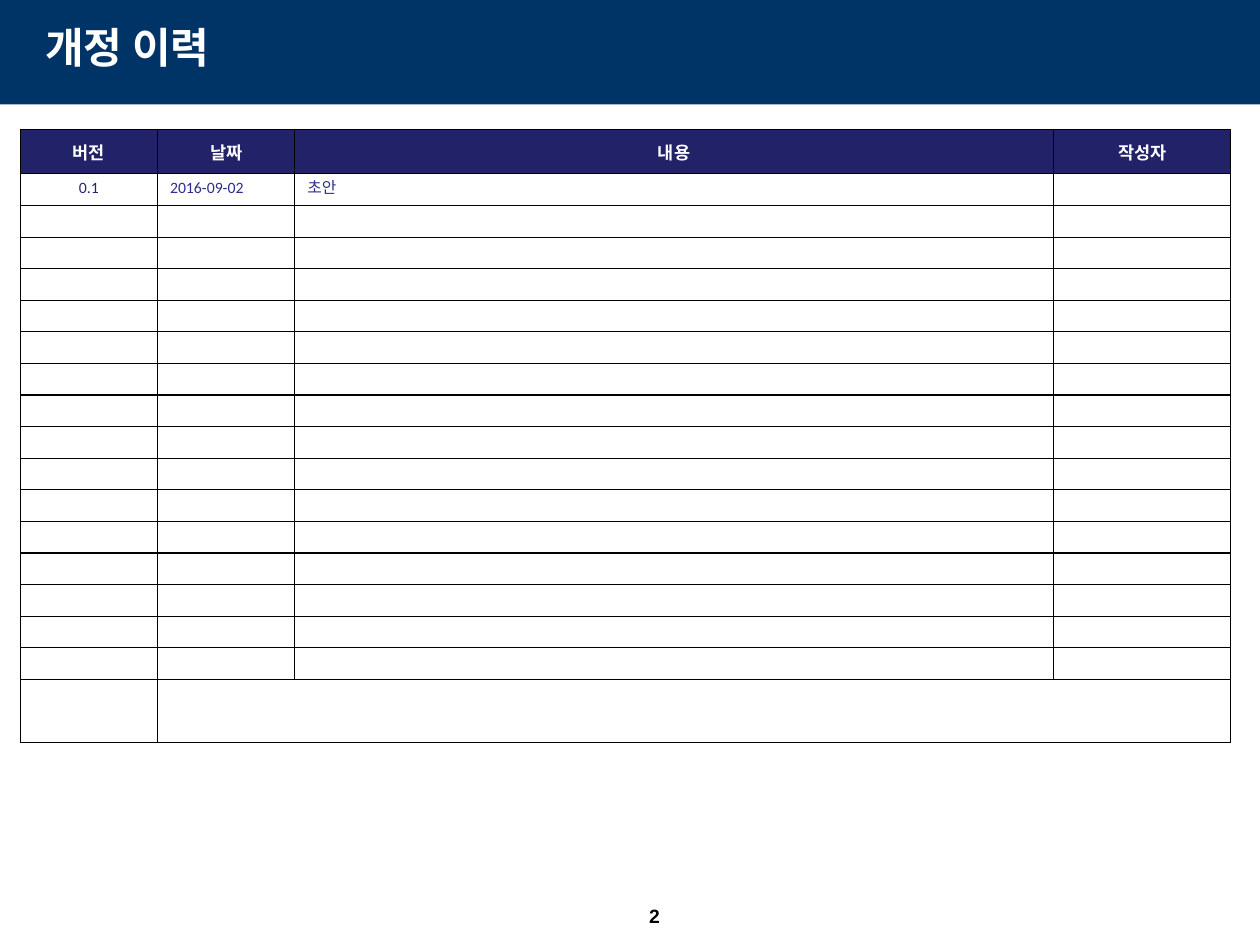
from lxml import etree
from pptx import Presentation
from pptx.dml.color import RGBColor
from pptx.enum.shapes import MSO_SHAPE
from pptx.enum.text import MSO_ANCHOR as ANCHOR, PP_ALIGN as ALIGN
from pptx.oxml.ns import qn
from pptx.util import Inches, Pt


def rgb(value):
    return RGBColor.from_string(value)


def write(tf, text, size, font, color, bold=False, align=ALIGN.LEFT):
    tf.text = text
    p = tf.paragraphs[0]
    p.alignment = align
    f = p.runs[0].font
    f.size, f.name, f.bold = Pt(size), font, bold
    f.color.rgb = rgb(color)
    return p


prs = Presentation()
prs.slide_width, prs.slide_height = Inches(10), Inches(7.5)
s = prs.slides.add_slide(prs.slide_layouts[5])

bar = s.shapes.add_shape(MSO_SHAPE.RECTANGLE, 0, 0, prs.slide_width, Inches(0.83))
bar.shadow.inherit = False
bar.fill.solid()
bar.fill.fore_color.rgb = rgb("003366")
bar.line.fill.background()

title = s.shapes.title
title.left, title.top = Inches(0.26), Inches(0.12)
title.width, title.height = Inches(9), Inches(0.55)
title.text_frame.vertical_anchor = ANCHOR.MIDDLE
p = write(title.text_frame, "개정 이력", 24, "Times New Roman", "FFFFFF", bold=True)
p.line_spacing = 0.9
title.element.addprevious(bar.element)

number = s.shapes.add_textbox(Inches(4.86), Inches(7.11), Inches(0.67), Inches(0.31))
tf = number.text_frame
tf.word_wrap = False
tf.vertical_anchor = ANCHOR.MIDDLE
tf.margin_left = tf.margin_right = tf.margin_top = tf.margin_bottom = Inches(0.06)
write(tf, "2", 11, "Arial", "000000", bold=True, align=ALIGN.CENTER)

widths = [1.09, 1.09, 6.02, 1.41]
heights = [0.35] + [0.25] * 16 + [0.5]
frame = s.shapes.add_table(len(heights), len(widths), Inches(0.16), Inches(1.03),
                           Inches(sum(widths)), Inches(sum(heights)))
tbl = frame.table
tbl.first_row = tbl.horz_banding = False
for col, width in zip(tbl.columns, widths):
    col.width = Inches(width)
for row, height in zip(tbl.rows, heights):
    row.height = Inches(height)

for cell in tbl.iter_cells():
    tcPr = cell._tc.get_or_add_tcPr()
    for side in ("a:lnL", "a:lnR", "a:lnT", "a:lnB"):
        ln = etree.SubElement(tcPr, qn(side), w=str(Pt(0.75)))
        fill = etree.SubElement(ln, qn("a:solidFill"))
        etree.SubElement(fill, qn("a:srgbClr"), val="000000")
    cell.fill.background()
    end = etree.SubElement(cell.text_frame.paragraphs[0]._p, qn("a:endParaRPr"))
    end.set("sz", "900")

for c, text in enumerate(["버전", "날짜", "내용", "작성자"]):
    cell = tbl.cell(0, c)
    cell.fill.solid()
    cell.fill.fore_color.rgb = rgb("222268")
    cell.vertical_anchor = ANCHOR.MIDDLE
    write(cell.text_frame, text, 10, "Calibri", "FFFFFF", bold=True, align=ALIGN.CENTER)

first_revision = [
    ("0.1", "Calibri", "262673", ALIGN.CENTER),
    ("2016-09-02", "Calibri", "2D2D8A", ALIGN.LEFT),
    ("초안", "Times New Roman", "2D2D8A", ALIGN.LEFT),
]
for c, (text, font, color, align) in enumerate(first_revision):
    p = write(tbl.cell(1, c).text_frame, text, 9, font, color, align=align)
    p.line_spacing = Pt(10)

last = len(heights) - 1
tbl.cell(last, 1).merge(tbl.cell(last, 3))

prs.save("out.pptx")
